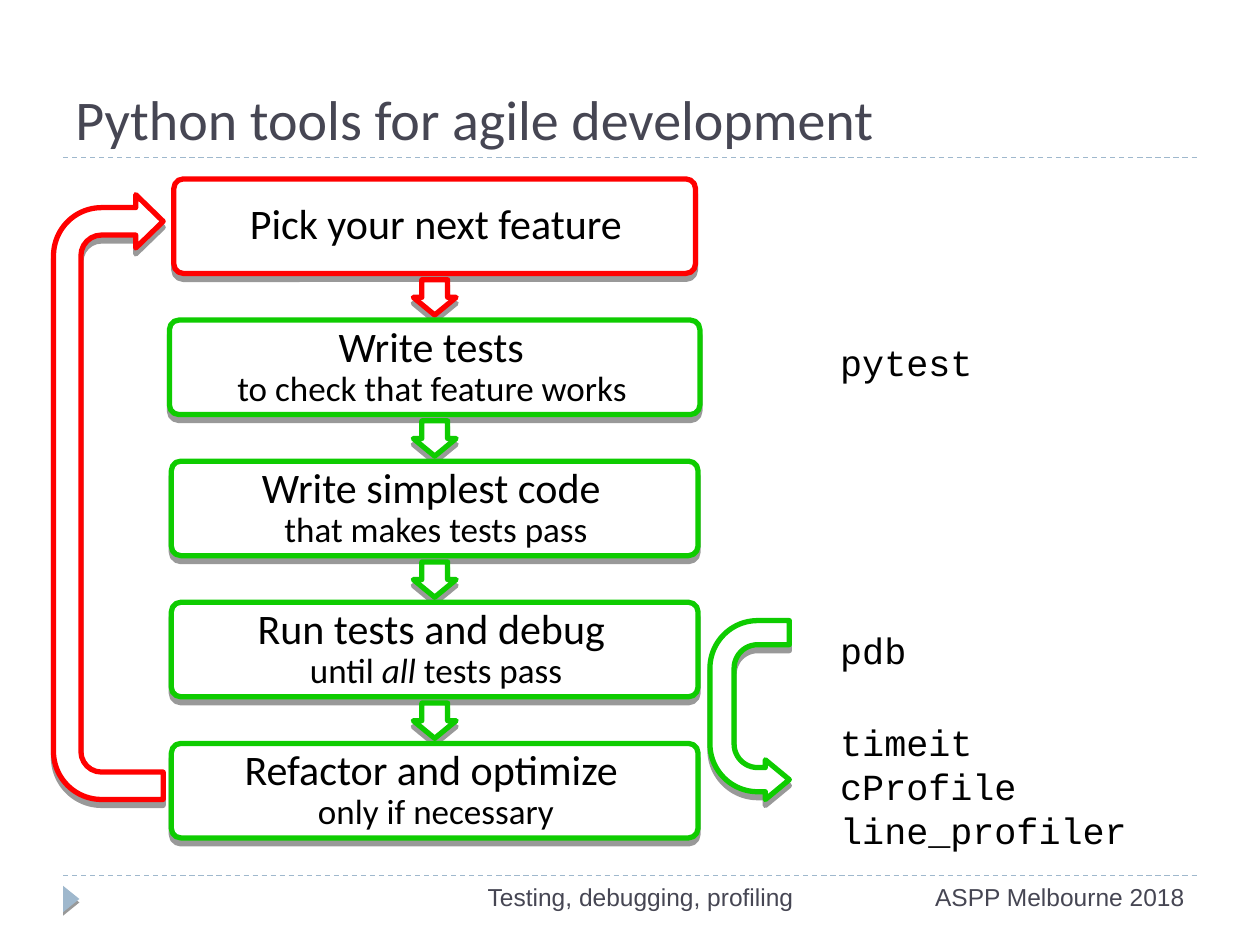
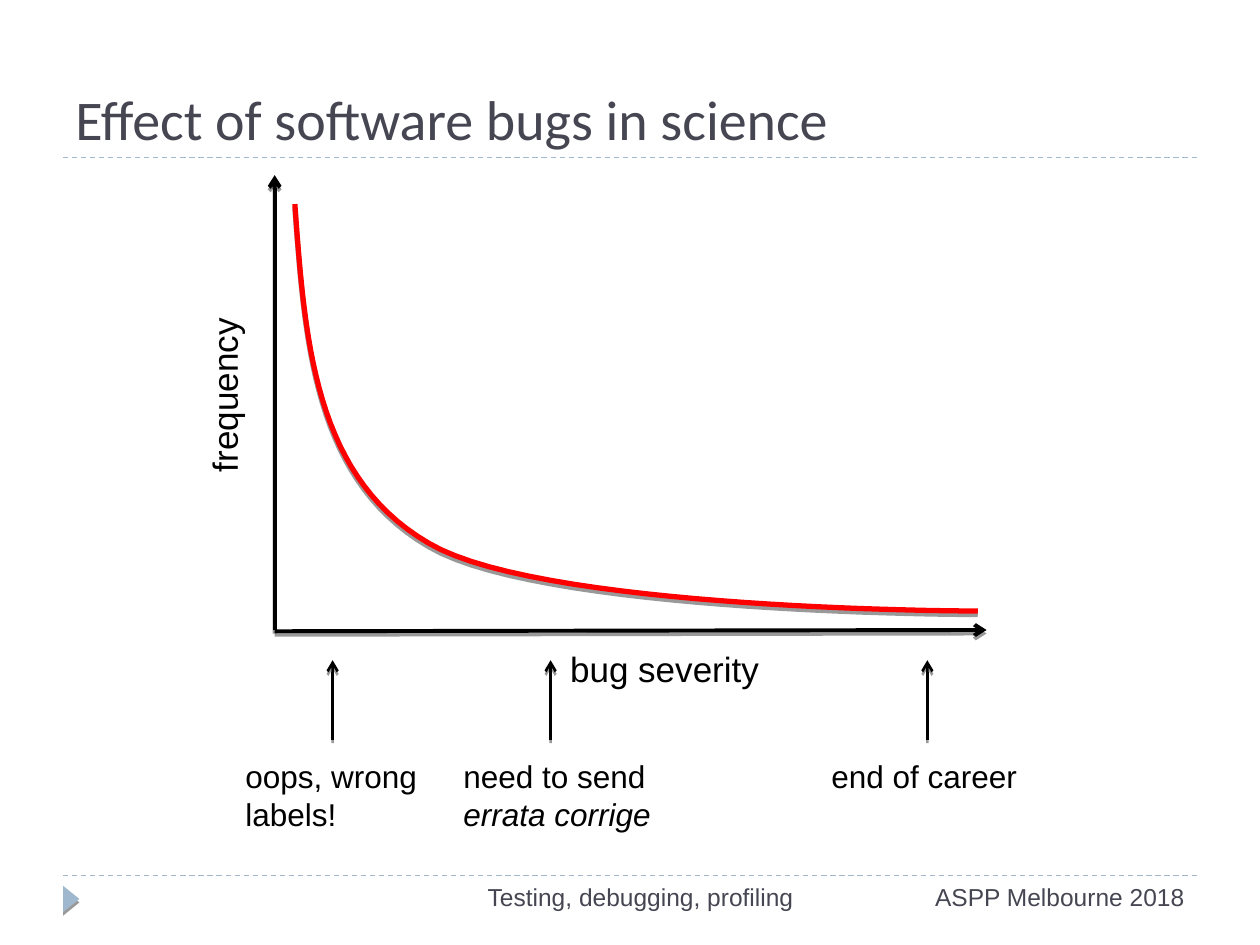
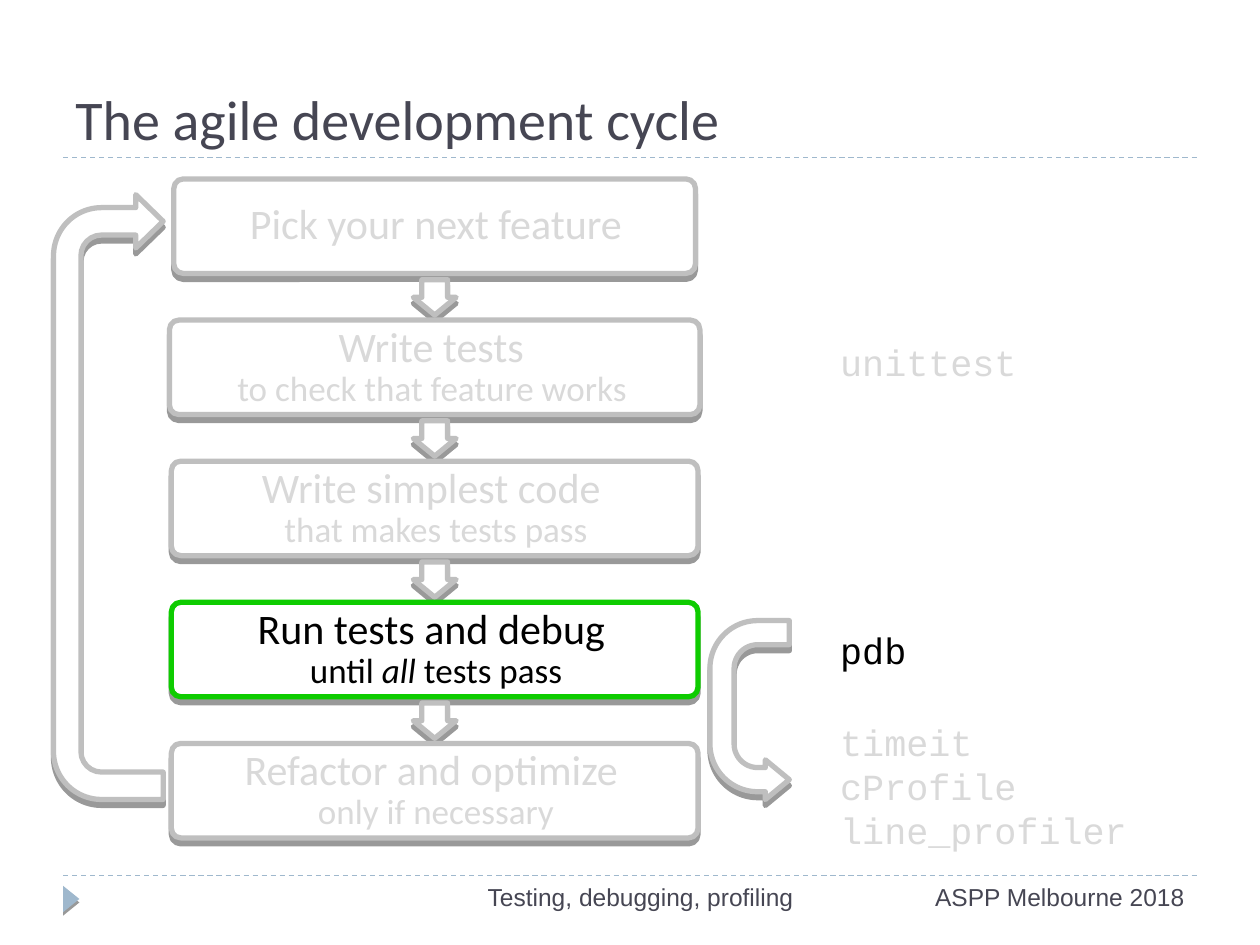
from lxml import etree
from pptx import Presentation
from pptx import util as u
from pptx.dml.color import RGBColor
from pptx.enum import dml, shapes, text
from pptx.oxml.ns import qn

CELL = u.Inches(0.1)
COLS, ROWS = 100, 75
HUES = {"ink": "000000", "paper": "FFFFFF", "title": "464653", "band": "9FB8CD",
        "red": "FF0000", "green": "0ECC00", "edge": "BFBFBF", "dim": "D9D9D9"}
KINDS = shapes.MSO_SHAPE
SIDES = text.PP_ALIGN
STEPS = [
    ("Pick your next feature", [], 41.4, "red"),
    ("Write tests ", ["to check that feature works "], 42.1, "green"),
    ("Write simplest code ", ["that makes tests pass"], 41.8, "green"),
    ("Run tests and debug ", ["until ", "*all", " tests pass"], 41.8, "green"),
    ("Refactor and optimize ", ["only if necessary"], 41.8, "green"),
]
NOTES = [
    (4.6, 7.9, ["oops, wrong labels!"]),
    (21.9, 7.9, ["need to send ", "*errata corrige"]),
    (51.8, 8.6, ["end of career"]),
]


def cells(*sizes):
    return [round(size * CELL) for size in sizes]


def hue(name):
    return RGBColor.from_string(HUES[name])


def style(run, face, size, ink):
    run.font.name, run.font.size = face, u.Pt(size)
    run.font.color.rgb = hue(ink)


def spans(para, parts, face, size, ink):
    for part in parts:
        run = para.add_run()
        run.text = part.lstrip("*")
        style(run, face, size, ink)
        if part.startswith("*"):
            run.font.italic = True


def label(page, place, lines, face, size, ink="ink", side=SIDES.LEFT,
          anchor=text.MSO_ANCHOR.TOP):
    box = page.shapes.add_textbox(*cells(*place))
    frame = box.text_frame
    frame.word_wrap, frame.vertical_anchor = True, anchor
    for i, parts in enumerate(lines):
        para = frame.add_paragraph() if i else frame.paragraphs[0]
        para.alignment = side
        spans(para, parts, face, size, ink)
    return box


def shade(part, drop=0):
    fx = etree.SubElement(part.element.spPr, qn("a:effectLst"))
    if drop:
        cast = etree.SubElement(fx, qn("a:outerShdw"), blurRad="0",
                                dist=str(u.Pt(drop)), dir="5400000", rotWithShape="0")
        tone = etree.SubElement(cast, qn("a:srgbClr"), val=HUES["ink"])
        etree.SubElement(tone, qn("a:alpha"), val="40000")


def rule(page, ends, ink, width, arrow=False):
    line = page.shapes.add_connector(shapes.MSO_CONNECTOR.STRAIGHT, *cells(*ends))
    line.line.color.rgb, line.line.width = hue(ink), u.Pt(width)
    if arrow:
        etree.SubElement(line.element.spPr.find(qn("a:ln")), qn("a:tailEnd"), type="arrow")
    else:
        line.line.dash_style = dml.MSO_LINE.DASH
    shade(line, 2 if arrow else 0)


def solid(page, kind, place, edge=None, fill="paper", turn=0, bends=(), drop=3.4):
    part = page.shapes.add_shape(kind, *cells(*place))
    part.rotation = turn
    for i, bend in enumerate(bends):
        part.adjustments[i] = bend
    part.fill.solid()
    part.fill.fore_color.rgb = hue(fill)
    if edge:
        part.line.color.rgb, part.line.width = hue(edge), u.Pt(3)
    else:
        part.line.fill.background()
    shade(part, drop)
    return part


def base(deck, title):
    page = deck.slides.add_slide(deck.slide_layouts[6])
    for row in (69.5, 12.5):
        rule(page, (5, row, COLS - 5, row), "band", 0.75)
    solid(page, KINDS.ISOSCELES_TRIANGLE, (4.6, 70.7, 2.1, 1.3), fill="band", turn=90, drop=2)
    label(page, (5, 2.5, 90, 10), [[title]], "Calibri", 32, "title",
          anchor=text.MSO_ANCHOR.BOTTOM)
    label(page, (70, 69.5, 25, 4), [["ASPP Melbourne 2018"]], "Arial", 14, "title", SIDES.RIGHT)
    label(page, (31.7, 69.5, 38.3, 4), [["Testing, debugging, profiling"]], "Arial", 14,
          "title", SIDES.CENTER)
    return page


def step(page, place, head, tail, edge, ink):
    card = solid(page, KINDS.ROUNDED_RECTANGLE, place, edge, bends=[0.1])
    frame = card.text_frame
    frame.word_wrap, frame.vertical_anchor = True, text.MSO_ANCHOR.MIDDLE
    frame.margin_left = frame.margin_top = frame.margin_bottom = u.Inches(0.12)
    para = frame.paragraphs[0]
    para.text = head + ("\v" if tail else "")
    para.alignment, para.line_spacing, para.space_after = SIDES.CENTER, 0.9, u.Pt(8.4)
    style(para.runs[0], "Calibri", 24, ink)
    spans(para, tail, "Calibri", 20, ink)


def flow(page, box, tester, focus=None):
    left, top = box
    mid, pitch, high = left + 30.5, 11.2, 7.5

    def tint(name, rest, spot=None):
        return name if focus is None or spot == focus else rest

    for i, (head, tail, wide, tone) in enumerate(STEPS):
        row = top + i * pitch
        step(page, (mid - wide / 2, row, wide, high), head, tail,
             tint(tone, "edge", i), tint("ink", "dim", i))
        if i < len(STEPS) - 1:
            solid(page, KINDS.RIGHT_ARROW, (mid - 1.4, row + high + 0.2, 2.8, 3.4),
                  tint(tone, "edge"), turn=90, bends=[0.6, 0.5])
    solid(page, KINDS.U_TURN_ARROW, (left - 19.4, top + 20.9, 48, 8.7), tint("red", "edge"),
          turn=270, bends=[0.25, 0.243, 0.25, 0.438, 1])
    back = solid(page, KINDS.U_TURN_ARROW, (left + 48.4, top + 39, 14.2, 6.3),
                 tint("green", "edge"), turn=90, bends=[0.304, 0.25, 0.302, 0.601, 1])
    back.element.spPr.find(qn("a:xfrm")).set("flipV", "1")
    tools = [(12.3, 1, [tester]), (35.1, 3, ["pdb"]),
             (42.4, 4, ["timeit", "cProfile", "line_profiler"])]
    for row, spot, names in tools:
        label(page, (left + 61.7, top + row, 30, 1 + 3.5 * len(names)),
              [[name] for name in names], "Courier New", 21, tint("ink", "dim", spot))


def bend(knots, count=30):
    for i in range(1, count + 1):
        t = i / count
        parts = ((1 - t) ** 3, 3 * t * (1 - t) ** 2, 3 * t * t * (1 - t), t ** 3)
        yield tuple(sum(p * k[axis] for p, k in zip(parts, knots)) for axis in (0, 1))


def plot(page, box):
    left, top, wide, high = box
    foot = top + high
    rule(page, (left, foot, left, top), "ink", 2.25, True)
    rule(page, (left, foot + 0.1, left + wide, foot), "ink", 2.25, True)
    name = label(page, (left - 12.1, top + 15.3, 16.1, 4.3), [["frequency"]], "Arial", 20,
                 side=SIDES.CENTER)
    name.rotation = 270
    label(page, (left + 21.1, foot + 0.9, 19.7, 4.3), [["bug severity"]], "Arial", 20,
          side=SIDES.CENTER)
    knots = [(left + x, top + y) for x, y in
             [(1.6, 2.3), (2.4, 13.1), (3.1, 23.9), (12.2, 29.2), (21.2, 34.6),
              (55.8, 34.6), (55.8, 34.6)]]
    path = page.shapes.build_freeform(*cells(*knots[0]))
    dots = [*bend(knots[:4]), *bend(knots[3:])]
    path.add_line_segments([cells(*dot) for dot in dots], close=False)
    curve = path.convert_to_shape()
    curve.fill.background()
    curve.line.color.rgb, curve.line.width = hue("red"), u.Pt(3)
    shade(curve, 2)
    for x, shift, parts in NOTES:
        col = left + x
        rule(page, (col, foot + 8.7, col, foot + 2.4), "ink", 1.5, True)
        label(page, (col - shift, foot + 9.6, 17.3, 7), [parts], "Arial", 18)


def main():
    deck = Presentation()
    deck.slide_width, deck.slide_height = cells(COLS, ROWS)
    flow(base(deck, "Python tools for agile development"), (4, 14.2), "pytest")
    plot(base(deck, "Effect of software bugs in science"), (21.8, 13.9, 56.5, 36.1))
    flow(base(deck, "The agile development cycle"), (4, 14.2), "unittest", 3)
    deck.save("out.pptx")


if __name__ == "__main__":
    main()
